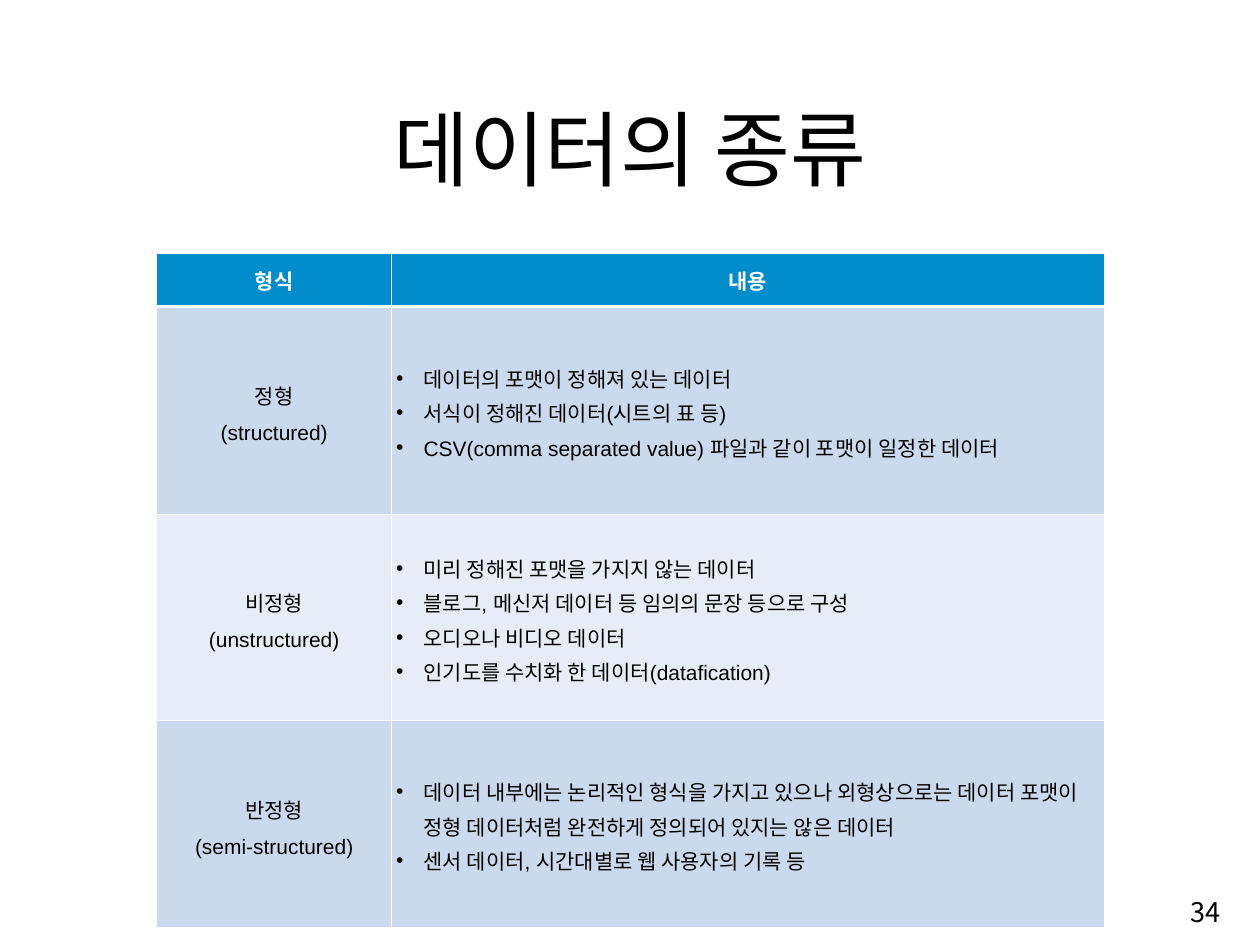
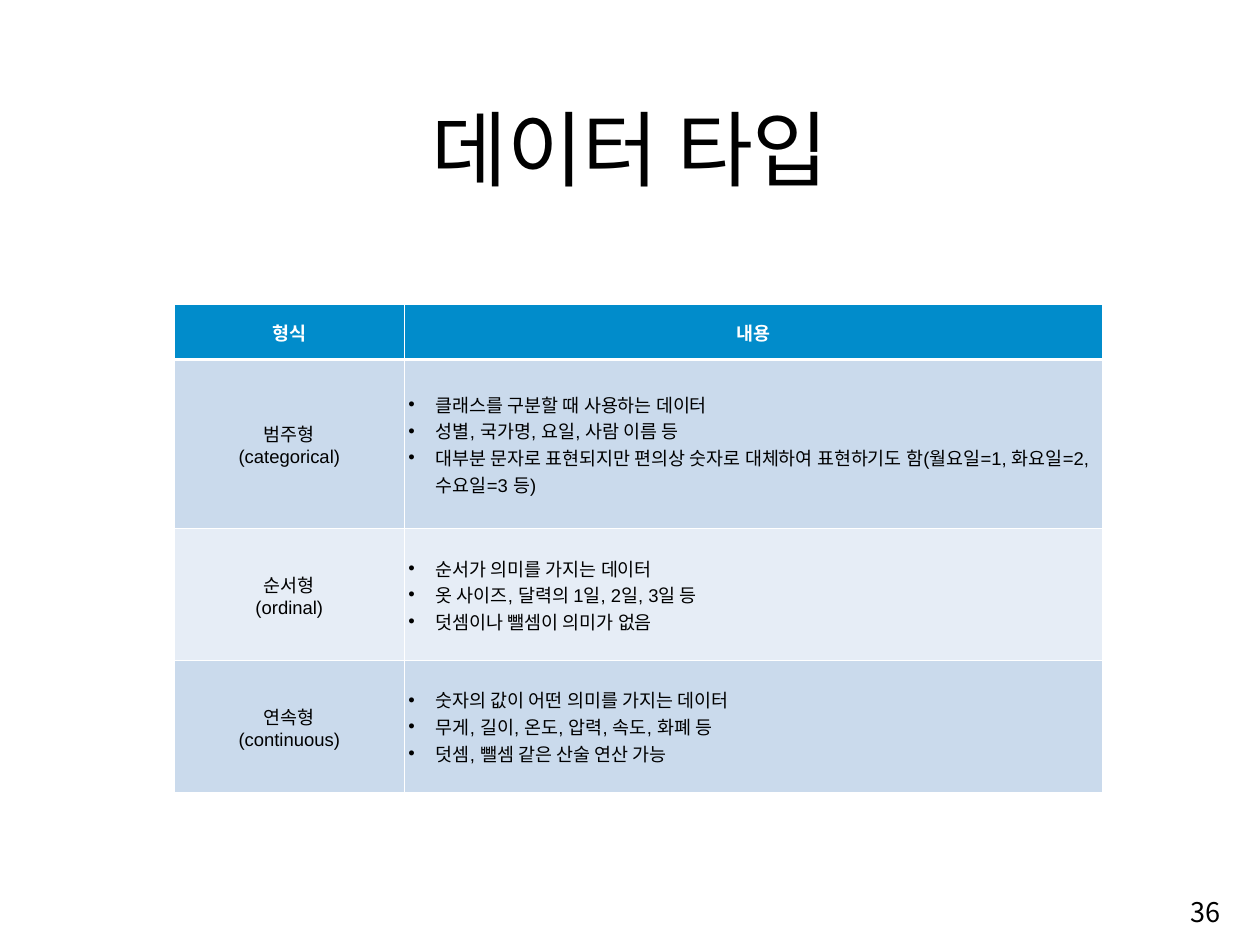
from dataclasses import dataclass
from typing import Optional

from lxml.etree import SubElement
from pptx import Presentation
from pptx.dml.color import RGBColor
from pptx.enum.text import MSO_ANCHOR, MSO_AUTO_SIZE, PP_ALIGN
from pptx.oxml.ns import qn
from pptx.util import Inches, Pt


@dataclass(frozen=True)
class Theme:
    korean_font: str = "Noto Sans CJK KR"
    table_font: str = "Arial"
    black: str = "000000"
    white: str = "FFFFFF"
    header: str = "018CCB"
    bands: tuple[str, str] = ("CADAEC", "E6EDF6")
    title_size: int = 67
    number_size: int = 22
    thin: float = 1
    thick: float = 3
    box_inset: float = 0.06
    cell_inset: float = 0.05
    indent: float = 0.31


@dataclass(frozen=True)
class Category:
    name: str
    english: str
    points: tuple[str, ...]


@dataclass(frozen=True)
class TableSlide:
    title: str
    number: int
    left: float
    top: float
    columns: tuple[float, float]
    rows: tuple[float, ...]
    size: int
    categories: tuple[Category, ...]
    line_spacing: Optional[int] = None


THEME = Theme()
HEADINGS = ("형식", "내용")

SLIDES = (
    TableSlide(
        "데이터의 종류", 34, 1.77, 2.86, (2.65, 8.04), (0.6, 2.35, 2.33, 2.33), 17,
        (
            Category("정형", "(structured)", (
                "데이터의 포맷이 정해져 있는 데이터",
                "서식이 정해진 데이터(시트의 표 등)",
                "CSV(comma separated value) 파일과 같이 포맷이 일정한 데이터",
            )),
            Category("비정형", "(unstructured)", (
                "미리 정해진 포맷을 가지지 않는 데이터",
                "블로그, 메신저 데이터 등 임의의 문장 등으로 구성",
                "오디오나 비디오 데이터",
                "인기도를 수치화 한 데이터(datafication)",
            )),
            Category("반정형", "(semi-structured)", (
                "데이터 내부에는 논리적인 형식을 가지고 있으나 외형상으로는 데이터 포맷이 "
                "정형 데이터처럼 완전하게 정의되어 있지는 않은 데이터",
                "센서 데이터, 시간대별로 웹 사용자의 기록 등",
            )),
        ),
        line_spacing=28,
    ),
    TableSlide(
        "데이터 타입", 36, 1.97, 3.44, (2.59, 7.88), (0.62, 1.91, 1.49, 1.49), 15,
        (
            Category("범주형", "(categorical)", (
                "클래스를 구분할 때 사용하는 데이터",
                "성별, 국가명, 요일, 사람 이름 등",
                "대부분 문자로 표현되지만 편의상 숫자로 대체하여 표현하기도 함"
                "(월요일=1, 화요일=2, 수요일=3 등)",
            )),
            Category("순서형", "(ordinal)", (
                "순서가 의미를 가지는 데이터",
                "옷 사이즈, 달력의 1일, 2일, 3일 등",
                "덧셈이나 뺄셈이 의미가 없음",
            )),
            Category("연속형", "(continuous)", (
                "숫자의 값이 어떤 의미를 가지는 데이터",
                "무게, 길이, 온도, 압력, 속도, 화폐 등",
                "덧셈, 뺄셈 같은 산술 연산 가능",
            )),
        ),
    ),
)


def set_font(p, font: str, size: int, color: str, bold: bool = False) -> None:
    p.font.size = Pt(size)
    p.font.bold = bold
    p.font.color.rgb = RGBColor.from_string(color)
    p.font.name = font
    # East Asian typeface
    SubElement(p.font._element, qn("a:ea"), typeface=THEME.korean_font)


def set_insets(target, inset: float) -> None:
    target.margin_left = target.margin_right = Inches(inset)
    target.margin_top = target.margin_bottom = Inches(inset)


def add_label(s, text: str, box: tuple[float, float, float, float], size: int,
              wrap: bool = True):
    sp = s.shapes.add_textbox(*map(Inches, box))
    tf = sp.text_frame
    tf.word_wrap = wrap
    set_insets(tf, THEME.box_inset)
    p = tf.paragraphs[0]
    p.text = text
    p.alignment = PP_ALIGN.CENTER
    set_font(p, THEME.korean_font, size, THEME.black)
    return tf


def set_borders(cell, top: float, bottom: float) -> None:
    tc_pr = cell._tc.get_or_add_tcPr()
    widths = {"L": THEME.thin, "R": THEME.thin, "T": top, "B": bottom}
    for side, width in widths.items():
        ln = SubElement(tc_pr, qn(f"a:ln{side}"), w=str(Pt(width)))
        fill = SubElement(ln, qn("a:solidFill"))
        SubElement(fill, qn("a:srgbClr"), val=THEME.white)


def add_bullet(p) -> None:
    p_pr = p._p.get_or_add_pPr()
    indent = Inches(THEME.indent)
    p_pr.set("marL", str(indent))
    p_pr.set("indent", str(-indent))
    SubElement(p_pr, qn("a:buFont"), typeface=THEME.table_font)
    SubElement(p_pr, qn("a:buChar"), char="•")


def fill_cell(cell, lines: tuple[str, ...], row: int, bulleted: bool,
              layout: TableSlide) -> None:
    is_header = row == 0
    set_borders(cell, THEME.thick if row == 1 else THEME.thin,
                THEME.thick if is_header else THEME.thin)
    cell.fill.solid()
    fill = THEME.header if is_header else THEME.bands[(row - 1) % 2]
    cell.fill.fore_color.rgb = RGBColor.from_string(fill)
    cell.vertical_anchor = MSO_ANCHOR.MIDDLE
    set_insets(cell, THEME.cell_inset)
    tf = cell.text_frame
    for i, line in enumerate(lines):
        p = tf.add_paragraph() if i else tf.paragraphs[0]
        p.text = line
        if layout.line_spacing and not is_header:
            p.line_spacing = Pt(layout.line_spacing)
        if bulleted:
            add_bullet(p)
        else:
            p.alignment = PP_ALIGN.CENTER
        color = THEME.white if is_header else THEME.black
        set_font(p, THEME.table_font, layout.size, color, is_header)


def add_category_table(s, layout: TableSlide) -> None:
    table = s.shapes.add_table(
        len(layout.rows), len(layout.columns), Inches(layout.left), Inches(layout.top),
        Inches(sum(layout.columns)), Inches(sum(layout.rows))).table
    table.horz_banding = False
    for column, width in zip(table.columns, layout.columns):
        column.width = Inches(width)
    for row, height in zip(table.rows, layout.rows):
        row.height = Inches(height)

    # Header row
    for col, heading in enumerate(HEADINGS):
        fill_cell(table.cell(0, col), (heading,), 0, False, layout)
    # Category rows
    for row, category in enumerate(layout.categories, start=1):
        names = (category.name, category.english)
        fill_cell(table.cell(row, 0), names, row, False, layout)
        fill_cell(table.cell(row, 1), category.points, row, True, layout)


def add_slide(prs, layout: TableSlide) -> None:
    s = prs.slides.add_slide(prs.slide_layouts[6])
    # Title
    title = add_label(s, layout.title, (1.04, 0.49, 12.14, 2.36), THEME.title_size)
    title.vertical_anchor = MSO_ANCHOR.MIDDLE
    # Slide number
    number = add_label(s, str(layout.number), (13.38, 10.05, 0.46, 0.49),
                       THEME.number_size, wrap=False)
    number.auto_size = MSO_AUTO_SIZE.SHAPE_TO_FIT_TEXT
    # Table
    add_category_table(s, layout)


def main() -> None:
    prs = Presentation()
    prs.slide_width, prs.slide_height = Inches(14.22), Inches(10.67)
    for layout in SLIDES:
        add_slide(prs, layout)
    prs.save("out.pptx")


if __name__ == "__main__":
    main()
